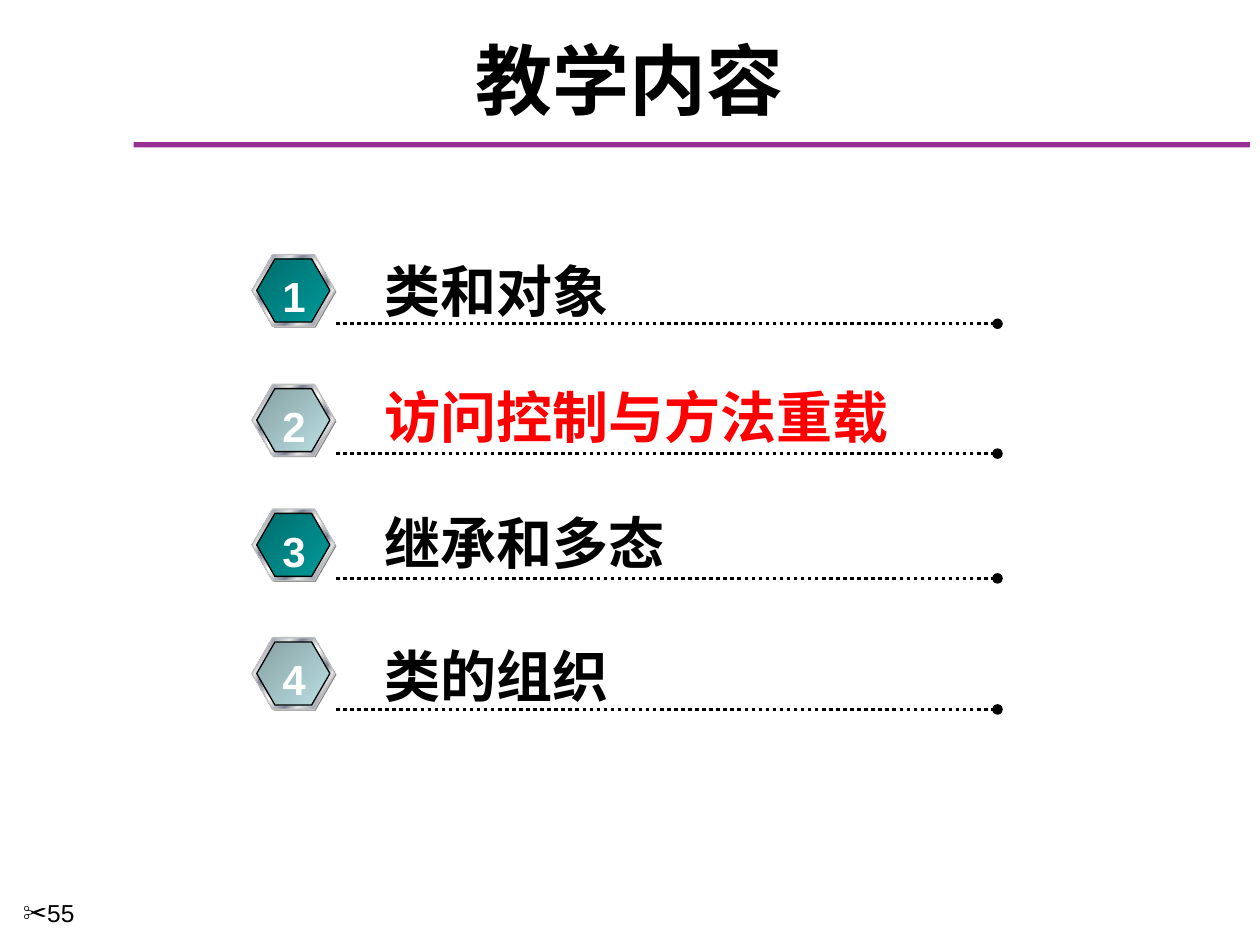
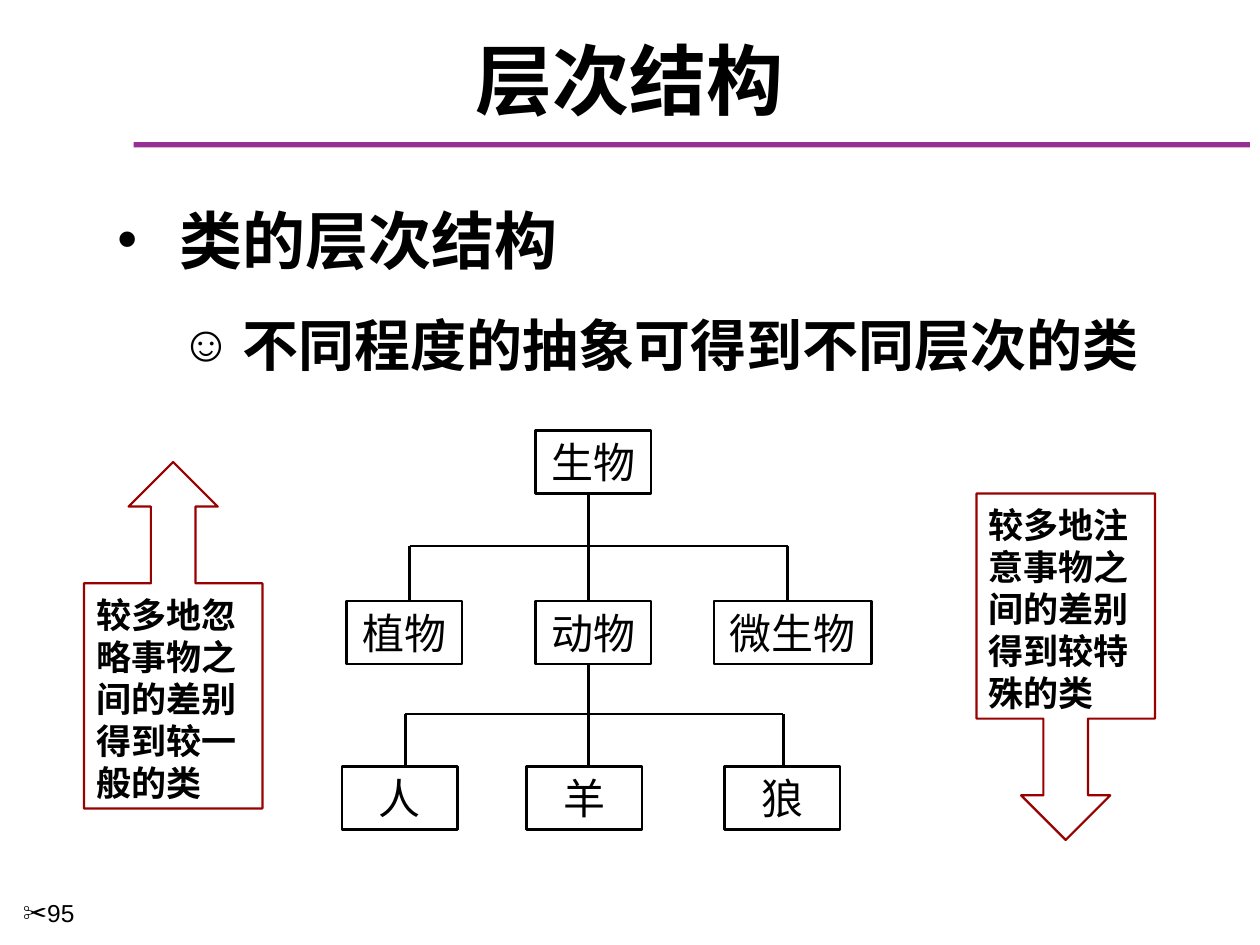
"""Build two lecture slides: a table of contents and a class hierarchy."""
import pptx
import pptx.util
import pptx.dml.color
import pptx.enum.shapes
import pptx.enum.text
import pptx.enum.dml
import pptx.oxml
import pptx.oxml.ns
from dataclasses import dataclass

Pt = pptx.util.Pt
qn = pptx.oxml.ns.qn
Kind = pptx.enum.shapes.MSO_SHAPE
Align = pptx.enum.text.PP_ALIGN
Anchor = pptx.enum.text.MSO_ANCHOR


@dataclass(frozen=True)
class Theme:
    ink: str = "000000"
    white: str = "FFFFFF"
    hot: str = "FF0000"
    bar: str = "973095"
    call: str = "990000"
    shade: str = "808080"
    rim: str = "C0C0C0"
    teal: tuple = ((0, "006D6D"), (100, "009999"))
    mist: tuple = ((0, "86A0A2"), (100, "BBE0E3"))
    steel: tuple = (
        (0, "E6E6E6"), (8, "7D8496"), (26, "E6E6E6"), (34, "7D8496"),
        (46, "E6E6E6"), (50, "FFFFFF"), (54, "E6E6E6"), (66, "7D8496"),
        (74, "E6E6E6"), (92, "7D8496"), (100, "E6E6E6"))
    latin: str = "Arial"
    asian: str = "Noto Sans CJK SC"
    title: int = 44
    head: int = 36
    item: int = 32
    node: int = 24
    note: int = 20
    foot: int = 14


T = Theme()

TOPICS = {
    "title": "教学内容",
    "page": "55",
    "rows": [
        ("类和对象", T.ink, 145.5, 139.7, 185),
        ("访问控制与方法重载", T.hot, 219.6, 211.7, 259.2),
        ("继承和多态", T.ink, 290.9, 283.7, 330.5),
        ("类的组织", T.ink, 364.4, 360, 405.4),
    ],
}

TREE = {
    "title": "层次结构",
    "page": "95",
    "points": [
        ("类的层次结构", T.head, "•", 35.3, 0),
        ("不同程度的抽象可得到不同层次的类", T.item, "☺", 71.3, 19.2),
    ],
    "tiers": [
        (246, [("生物", 306, 66)]),
        (343.5, [("植物", 198, 66), ("动物", 306, 66), ("微生物", 408, 90)]),
        (438, [("人", 195.5, 66), ("羊", 301, 66), ("狼", 414, 66)]),
    ],
    "forks": [(281.8, 312, 343.5, (234, 336.2, 450)),
              (379.5, 408, 439, (231.7, 336.2, 447.6))],
    "calls": [
        ("较多地忽略事物之间的差别得到较一般的类", Kind.UP_ARROW_CALLOUT, 48, 264),
        ("较多地注意事物之间的差别得到较特殊的类", Kind.DOWN_ARROW_CALLOUT, 558, 282),
    ],
}


def rgb(code):
    return pptx.dml.color.RGBColor.from_string(code)


def style(para, size, color=T.ink, bold=False, font=T.asian, align=Align.LEFT):
    para.alignment = align
    para.line_spacing = Pt(round(1.2 * size, 1))
    for run in para.runs:
        face = run.font
        face.size, face.bold, face.name = Pt(size), bold, font
        face.color.rgb = rgb(color)
        east = pptx.oxml.parse_xml(
            f'<a:ea {pptx.oxml.ns.nsdecls("a")} typeface="{T.asian}"/>')
        face._element.find(qn("a:latin")).addnext(east)


def bullet(para, mark, left=0, hang=0, scale=100):
    props = para._p.get_or_add_pPr()
    props.set("marL", str(Pt(left)))
    props.set("indent", str(Pt(-hang)))
    for tag, key, val in (("buSzPct", "val", str(scale * 1000)),
                          ("buFont", "typeface", T.latin),
                          ("buChar", "char", mark)):
        node = pptx.oxml.parse_xml(f'<a:{tag} {pptx.oxml.ns.nsdecls("a")}/>')
        node.set(key, val)
        props.append(node)


def frame(shape, size, anchor=Anchor.TOP, wrap=True):
    body = shape.text_frame
    body.word_wrap, body.vertical_anchor = wrap, anchor
    mid = anchor == Anchor.MIDDLE
    body.margin_top = Pt(0 if mid else round(3.6 + 0.1 * size, 1))
    body.margin_bottom = Pt(0 if mid else 3.6)
    return body


def label(slide, box, text, size, anchor=Anchor.TOP, wrap=True, **look):
    shape = slide.shapes.add_textbox(*map(Pt, box))
    body = frame(shape, size, anchor, wrap)
    body.text = text
    style(body.paragraphs[0], size, **look)
    return body


def block(shapes, kind, box, fill=None, edge=None, width=0.75):
    shape = shapes.add_shape(kind, *map(Pt, box))
    shape.shadow.inherit = False
    if isinstance(fill, tuple):
        blend(shape, fill)
    elif fill:
        shape.fill.solid()
        shape.fill.fore_color.rgb = rgb(fill)
    else:
        shape.fill.background()
    if edge:
        shape.line.color.rgb = rgb(edge)
        shape.line.width = Pt(width)
    else:
        shape.line.fill.background()
    return shape


def blend(shape, stops):
    shape.fill.gradient()
    shape.fill.gradient_angle = 315
    group = shape._element.spPr.find(qn("a:gradFill")).find(qn("a:gsLst"))
    for old in list(group):
        group.remove(old)
    for pos, code in stops:
        group.append(pptx.oxml.parse_xml(
            f'<a:gs {pptx.oxml.ns.nsdecls("a")} pos="{pos * 1000}">'
            f'<a:srgbClr val="{code}"/></a:gs>'))


def link(slide, start, end, width=1.5):
    line = slide.shapes.add_connector(
        pptx.enum.shapes.MSO_CONNECTOR.STRAIGHT, *map(Pt, start + end))
    line.line.color.rgb = rgb(T.ink)
    line.line.width = Pt(width)
    line._element.spPr.append(pptx.oxml.parse_xml(
        f'<a:effectLst {pptx.oxml.ns.nsdecls("a")}/>'))
    return line


def base(deck, data):
    slide = deck.slides.add_slide(deck.slide_layouts[6])
    block(slide.shapes, Kind.RECTANGLE, (76.3, 81.3, 638, 3), T.bar)
    label(slide, (12, 18, 696, 54), data["title"], T.title, Anchor.MIDDLE,
          bold=True, align=Align.CENTER)
    foot = label(slide, (6, 508.4, 83, 31.6), data["page"], T.foot, font=T.latin)
    bullet(foot.paragraphs[0], "✂")
    return slide


def badge(slide, num, top):
    group = slide.shapes.add_group_shape().shapes
    inner = T.teal if num % 2 else T.mist
    for box, fill, edge in (
            ((144.7, top + 0.7, 47.5, 41), T.shade, None),
            ((144, top, 47.5, 41), T.steel, T.rim),
            ((146.7, top + 2.5, 41.8, 36), inner, T.ink)):
        shape = block(group, Kind.HEXAGON, box, fill, edge)
        shape.adjustments[0], shape.adjustments[1] = 0.289, 1.155
    label(slide, (154, top + 3.2, 28, 36), str(num), T.node, wrap=False,
          color=T.white, bold=True, font=T.latin, align=Align.CENTER)


def topics(deck):
    slide = base(deck, TOPICS)
    for num, (text, color, hexa, top, rule) in enumerate(TOPICS["rows"], 1):
        line = link(slide, (192, rule), (570, rule), 2)
        line.line.dash_style = pptx.enum.dml.MSO_LINE.ROUND_DOT
        line.line._ln.append(pptx.oxml.parse_xml(
            f'<a:tailEnd {pptx.oxml.ns.nsdecls("a")} type="oval"/>'))
        label(slide, (212.4, top, 36 * len(text), 46), text, T.item,
              wrap=False, color=color, bold=True, font=T.latin)
        badge(slide, num, hexa)


def tree(deck):
    slide = base(deck, TREE)
    points = TREE["points"]
    body = label(slide, (60, 108, 606, 130), "\n".join(p[0] for p in points), T.head)
    for para, (_, size, mark, left, gap) in zip(body.paragraphs, points):
        bullet(para, mark, left, 35.3, 90)
        para.space_before = Pt(gap)
        style(para, size, bold=True)
    for top, nodes in TREE["tiers"]:
        for text, left, width in nodes:
            shape = block(slide.shapes, Kind.RECTANGLE, (left, top, width, 36),
                          edge=T.ink, width=1.5)
            frame(shape, T.node, Anchor.MIDDLE).text = text
            style(shape.text_frame.paragraphs[0], T.node, font=T.latin,
                  align=Align.CENTER)
    for top, mid, end, legs in TREE["forks"]:
        link(slide, (legs[1], top), (legs[1], mid))
        link(slide, (legs[0], mid), (legs[-1], mid))
        for leg in legs:
            link(slide, (leg, mid), (leg, end))
    for text, kind, left, top in TREE["calls"]:
        shape = block(slide.shapes, kind, (left, top, 102, 198),
                      edge=T.call, width=1.25)
        frame(shape, T.note).text = text
        style(shape.text_frame.paragraphs[0], T.note, bold=True)


def main():
    deck = pptx.Presentation()
    deck.slide_width, deck.slide_height = Pt(720), Pt(540)
    topics(deck)
    tree(deck)
    deck.save("out.pptx")


if __name__ == "__main__":
    main()
